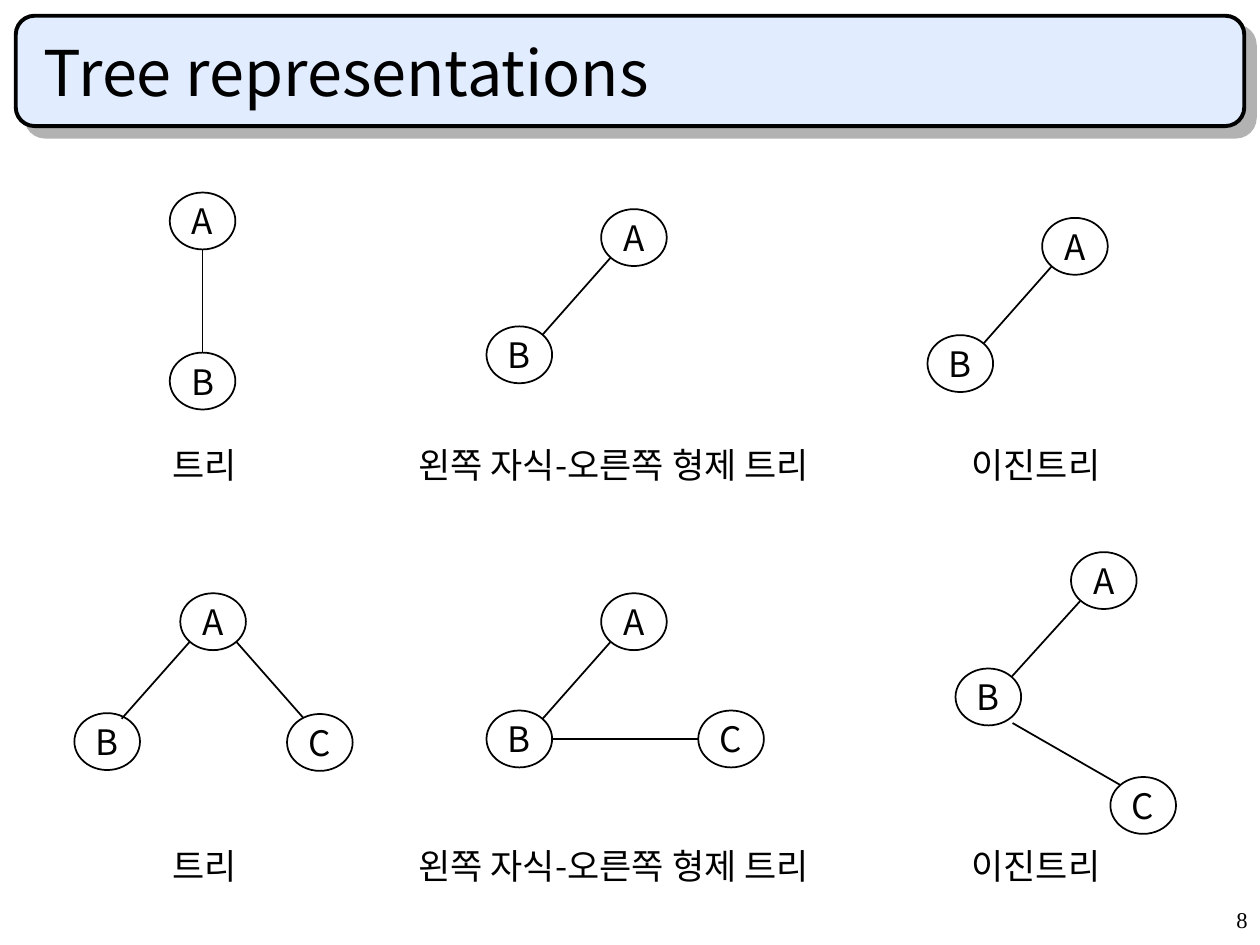
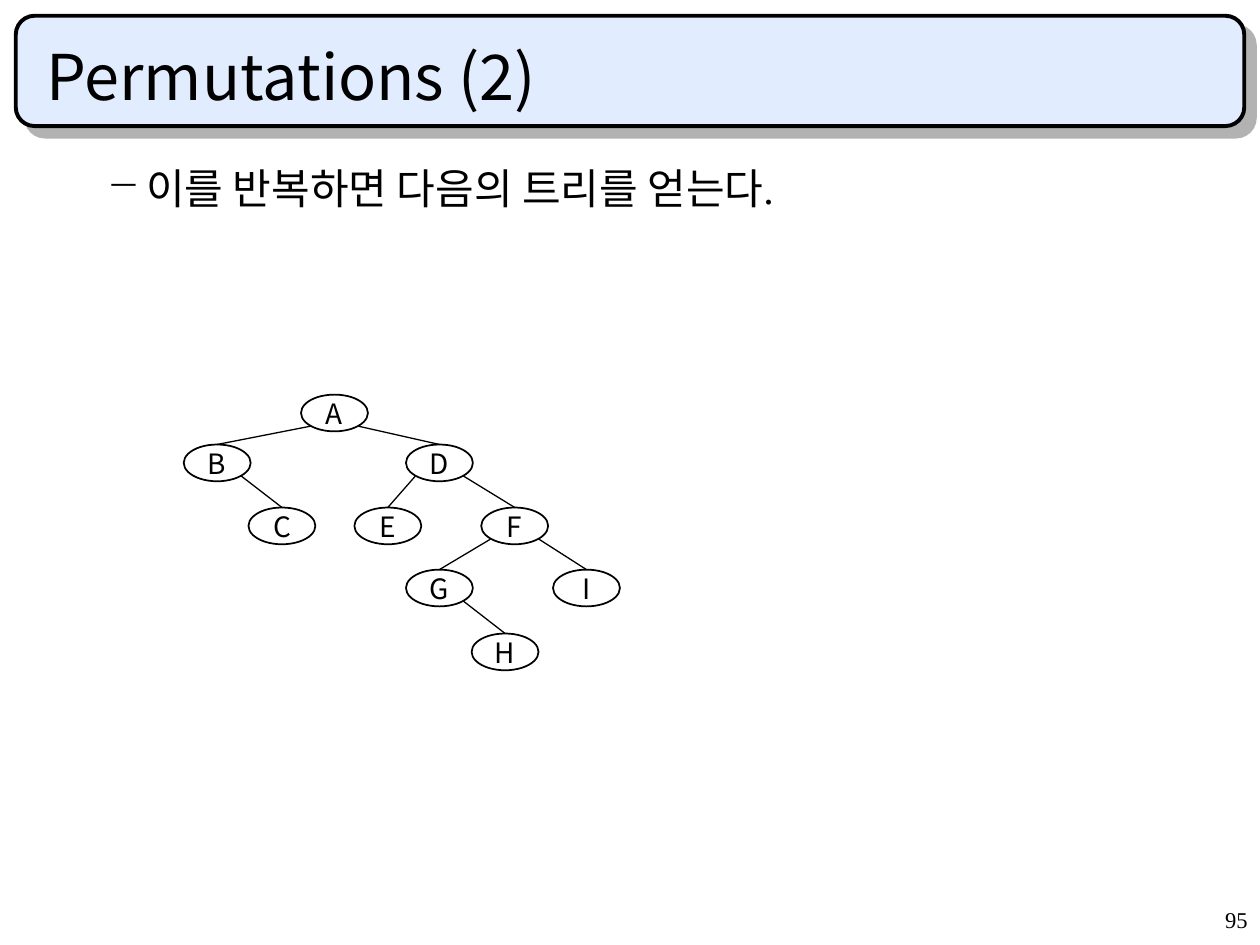
from lxml.etree import SubElement
from pptx import Presentation
from pptx.dml.color import RGBColor
from pptx.enum.shapes import MSO_CONNECTOR as Connector, MSO_SHAPE as Shape
from pptx.enum.text import MSO_ANCHOR as Anchor, PP_ALIGN as Align
from pptx.oxml.ns import qn
from pptx.util import Pt

BLACK = RGBColor(0x00, 0x00, 0x00)
WHITE = RGBColor(0xFF, 0xFF, 0xFF)
BAND_BLUE = RGBColor(0xE1, 0xEC, 0xFF)
SHADOW_GREY = RGBColor(0xB2, 0xB2, 0xB2)
SANS = "Noto Sans CJK KR"
SERIF = "Times New Roman"

TOP = (0.5, 0)
BOTTOM = (0.5, 1)
LEFT = (0, 0.5)
RIGHT = (1, 0.5)
UPPER_LEFT = (0.15, 0.14)
UPPER_RIGHT = (0.86, 0.14)
LOWER_LEFT = (0.14, 0.86)
LOWER_RIGHT = (0.86, 0.86)
HIGH_LEFT = (0.25, 0.07)
HIGH_RIGHT = (0.72, 0.1)
BELOW_RIGHT = (0.87, 0.96)

A_TO_LEFT_B = ("A", LOWER_LEFT, "B", UPPER_RIGHT)
CAPTIONS = [("트리", 91.5, 54), ("왼쪽 자식-오른쪽 형제 트리", 232, 240), ("이진트리", 548, 90)]
CAPTION_TOPS = (250, 479)
SMALL_TREES = [
    ({"A": (97, 110), "B": (97, 201.5)}, [("A", BOTTOM, "B", TOP)]),
    ({"A": (343.5, 119.5), "B": (278, 186.5)}, [A_TO_LEFT_B]),
    ({"A": (595.5, 124.5), "B": (530, 191.5)}, [A_TO_LEFT_B]),
    ({"A": (103, 339), "B": (42.5, 407.5), "C": (164, 408)},
     [("A", LOWER_LEFT, "B", HIGH_RIGHT), ("A", LOWER_RIGHT, "C", HIGH_LEFT)]),
    ({"A": (343.5, 339), "B": (278, 406), "C": (399, 406)},
     [A_TO_LEFT_B, ("B", RIGHT, "C", LEFT)]),
    ({"A": (612, 315.5), "B": (546, 382), "C": (634.5, 444)},
     [A_TO_LEFT_B, ("B", BELOW_RIGHT, "C", UPPER_LEFT)]),
]
PERMUTATION_NODES = {
    "A": (172, 225.5), "B": (105, 254), "C": (142, 290), "D": (232, 254), "E": (202.5, 290),
    "F": (275, 290), "G": (232, 325.5), "I": (316, 325.5), "H": (269.5, 362),
}
PERMUTATION_EDGES = [
    (parent, LOWER_LEFT if PERMUTATION_NODES[child][0] < PERMUTATION_NODES[parent][0] else LOWER_RIGHT,
     child, TOP)
    for parent, child in ("AB", "AD", "BC", "DE", "DF", "FG", "FI", "GH")
]


class Deck:
    """Shared slide style and the slide being drawn."""

    def __init__(self):
        self.presentation = Presentation()
        self.presentation.slide_width, self.presentation.slide_height = Pt(720), Pt(540)
        self.slide = None

    def new_slide(self, title, number, title_left, title_top):
        self.slide = self.presentation.slides.add_slide(self.presentation.slide_layouts[6])
        self.band()
        self.text(number, 570, 516, 150, 24, 12.9, SERIF, Align.RIGHT).line_spacing = 0.9
        self.text(title, title_left, title_top, 678, 48, 36, anchor=Anchor.BOTTOM)

    def band(self):
        band = self.shape(Shape.ROUNDED_RECTANGLE, 9, 9, 702, 63, BAND_BLUE, 2.25)
        band.adjustments[0] = 0.17
        effects = band._element.spPr.find(qn("a:effectLst"))
        shadow = SubElement(effects, qn("a:outerShdw"), dist=str(Pt(8.5)), dir="2700000",
                            algn="ctr", rotWithShape="0")
        SubElement(shadow, qn("a:srgbClr"), val=str(SHADOW_GREY))

    def shape(self, kind, left, top, width, height, fill, line_width):
        shape = self.slide.shapes.add_shape(kind, Pt(left), Pt(top), Pt(width), Pt(height))
        shape.shadow.inherit = False
        if fill is None:
            shape.fill.background()
        else:
            shape.fill.solid()
            shape.fill.fore_color.rgb = fill
        shape.line.color.rgb = BLACK
        shape.line.width = Pt(line_width)
        return shape

    def run(self, paragraph, text, size, font=SANS):
        run = paragraph.add_run()
        run.text = text
        run.font.size = Pt(size)
        run.font.name = font
        run.font.color.rgb = BLACK
        SubElement(run._r.get_or_add_rPr(), qn("a:ea"), typeface=SANS)

    def text(self, text, left, top, width, height, size, font=SANS, align=Align.LEFT, anchor=Anchor.TOP):
        frame = self.slide.shapes.add_textbox(Pt(left), Pt(top), Pt(width), Pt(height)).text_frame
        frame.word_wrap = True
        frame.vertical_anchor = anchor
        paragraph = frame.paragraphs[0]
        paragraph.alignment = align
        self.run(paragraph, text, size, font)
        return paragraph

    def bullet(self, text, left, top, width, height):
        paragraph = self.text(text, left, top, width, height, 24, SERIF)
        paragraph.level = 1
        paragraph.line_spacing = 0.8
        properties = paragraph._p.get_or_add_pPr()
        properties.set("marL", str(Pt(58.5)))
        properties.set("indent", str(Pt(-22.5)))
        colour = SubElement(properties, qn("a:buClr"))
        SubElement(colour, qn("a:srgbClr"), val=str(BLACK))
        SubElement(properties, qn("a:buChar"), char="−")

    def node(self, label, left, top, width, height, size, fill):
        node = self.shape(Shape.OVAL, left, top, width, height, fill, 1)
        frame = node.text_frame
        frame.word_wrap = False
        frame.vertical_anchor = Anchor.MIDDLE
        paragraph = frame.paragraphs[0]
        paragraph.alignment = Align.CENTER
        self.run(paragraph, label, size)
        return node

    def edge(self, parent, start, child, end, line_width):
        points = [int(position) for node, (across, down) in ((parent, start), (child, end))
                  for position in (node.left + node.width * across, node.top + node.height * down)]
        connector = self.slide.shapes.add_connector(Connector.STRAIGHT, *points)
        connector.line.color.rgb = BLACK
        connector.line.width = Pt(line_width)
        SubElement(connector._element.spPr, qn("a:effectLst"))
        if end == TOP:
            connector.end_connect(child, 0)

    def tree(self, positions, edges, width, height, size, line_width, fill=None):
        nodes = {label: self.node(label, left, top, width, height, size, fill)
                 for label, (left, top) in positions.items()}
        for parent, start, child, end in edges:
            self.edge(nodes[parent], start, nodes[child], end, line_width)


def main():
    deck = Deck()
    deck.new_slide("Tree representations", "8", 18, 18)
    for positions, edges in SMALL_TREES:
        deck.tree(positions, edges, 37.5, 32.5, 20, 1)
    for top in CAPTION_TOPS:
        for caption, left, width in CAPTIONS:
            deck.text(caption, left, top, width, 31, 20)

    deck.new_slide("Permutations (2)", "95", 19.5, 20)
    deck.bullet("이를 반복하면 다음의 트리를 얻는다.", 18, 95, 678, 50)
    deck.tree(PERMUTATION_NODES, PERMUTATION_EDGES, 38.25, 21, 16, 0.75, WHITE)
    deck.presentation.save("out.pptx")


if __name__ == "__main__":
    main()
